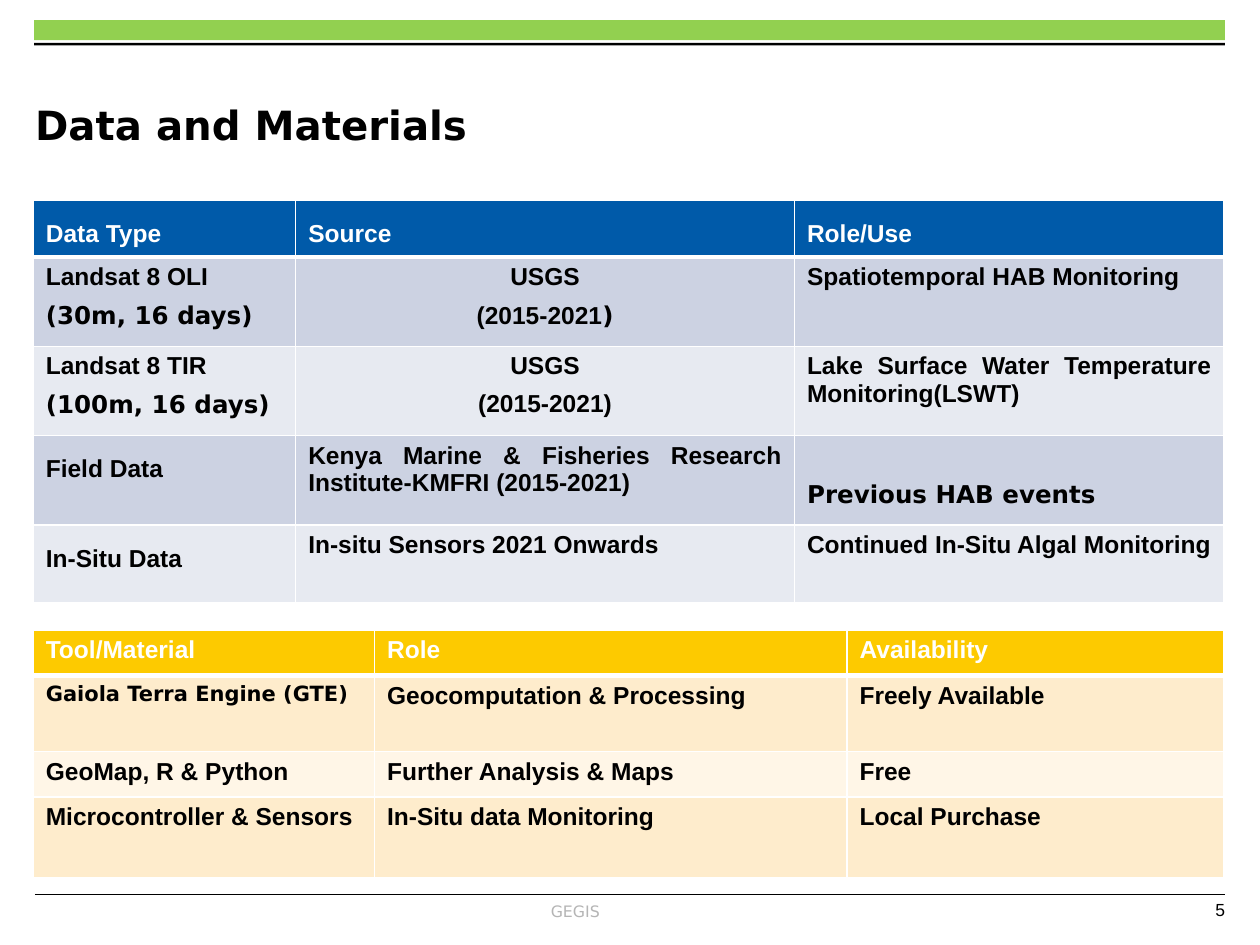
from lxml.etree import SubElement as Sub
from pptx import Presentation
from pptx.dml.color import RGBColor as Rgb
from pptx.enum.shapes import MSO_CONNECTOR as Conn, MSO_SHAPE as Kind
from pptx.enum.text import MSO_ANCHOR as Anchor, PP_ALIGN as Align
from pptx.oxml.ns import qn
from pptx.util import Pt

INK = {
    "black": "000000", "white": "FFFFFF", "gray": "B5B5B5", "green": "92D050",
    "blue": "005AA9", "blue dark": "CCD2E2", "blue pale": "E7EAF1",
    "gold": "FDCA00", "gold dark": "FEECCC", "gold pale": "FFF6E7",
}
SANS, WIDE = "Arial", "DejaVu Sans"


def hue(name):
    return Rgb.from_string(INK[name])


def add_run(par, text, face, size, ink, bold=False):
    run = par.add_run()
    run.text = text
    font = run.font
    font.name, font.size, font.bold = face, Pt(size), bold
    font.color.rgb = hue(ink)


def add_bar(slide, box, ink):
    bar = slide.shapes.add_shape(Kind.RECTANGLE, *map(Pt, box))
    bar.shadow.inherit = False
    bar.fill.solid()
    bar.fill.fore_color.rgb = hue(ink)
    bar.line.fill.background()


def add_rule(slide, left, top, width):
    rule = slide.shapes.add_connector(
        Conn.STRAIGHT, Pt(left), Pt(top), Pt(left + width), Pt(top))
    rule.line.color.rgb = hue("black")
    rule.line.width = Pt(0.6)
    Sub(rule._element.spPr, qn("a:effectLst"))


def add_label(slide, box, text, face, size, ink, align, anchor, bold=False):
    frame = slide.shapes.add_textbox(*map(Pt, box)).text_frame
    frame.word_wrap = True
    frame.vertical_anchor = anchor
    frame.margin_left = frame.margin_right = 0
    frame.margin_top = frame.margin_bottom = 0
    par = frame.paragraphs[0]
    par.alignment = align
    add_run(par, text, face, size, ink, bold)


def add_head(slide, box):
    left, top, width, height = box
    add_bar(slide, (left, top, width, 11.5), "green")
    add_bar(slide, (left, top + 13, width, 1.5), "black")
    add_rule(slide, left, top + height, width)
    add_label(slide, (left + 0.5, top + 26.5, 541.5, 66), "Data and Materials",
              WIDE, 23, "black", Align.LEFT, Anchor.MIDDLE, True)


def add_foot(slide, box):
    left, top, width, height = box
    add_rule(slide, left, top, width)
    add_label(slide, (left + 11, top + 0.7, 595.5, height), "GEGIS",
              WIDE, 9, "gray", Align.CENTER, Anchor.MIDDLE)
    add_label(slide, (left + width - 31, top + 3, 31, 17), "5",
              SANS, 10, "black", Align.RIGHT, Anchor.TOP)


def edge(cell, base):
    props = cell._tc.get_or_add_tcPr()
    for at, side in enumerate(("lnL", "lnR", "lnT", "lnB")):
        wide = base if side == "lnB" else 1
        line = Sub(props, qn("a:" + side), w=str(Pt(wide)))
        fill = Sub(line, qn("a:solidFill"))
        Sub(fill, qn("a:srgbClr"), val=INK["white"])
        props.remove(line)
        props.insert(at, line)


def para(*runs, align=Align.JUSTIFY, pitch=1.0, size=14):
    return runs, align, pitch, size


def plain(*texts, **style):
    return [para((text, SANS), **style) for text in texts]


def wide(text, **style):
    return para((text, WIDE), **style)


def add_grid(slide, box, cols, highs, rows, tone, after):
    grid = slide.shapes.add_table(len(rows), len(cols), *map(Pt, box)).table
    for col, width in zip(grid.columns, cols):
        col.width = Pt(width)
    for row, high in zip(grid.rows, highs):
        row.height = Pt(high)
    for i, row in enumerate(rows):
        fill = tone if i == 0 else tone + (" dark" if i % 2 else " pale")
        for j, pars in enumerate(row):
            cell = grid.cell(i, j)
            cell.fill.solid()
            cell.fill.fore_color.rgb = hue(fill)
            edge(cell, 1 if i else 3)
            frame = cell.text_frame
            for k, (runs, align, pitch, size) in enumerate(pars):
                par = frame.add_paragraph() if k else frame.paragraphs[0]
                par.alignment = align
                par.line_spacing = pitch
                par.space_after = Pt(after)
                for text, face in runs:
                    add_run(par, text, face, size, "black" if i else "white", True)
    return grid


def add_data(slide, box):
    mid = {"align": Align.CENTER}
    loose = {"pitch": 1.5}
    rows = [
        [plain(text, **loose) for text in ("Data Type", "Source", "Role/Use")],
        [plain("Landsat 8 OLI") + [wide("(30m, 16 days)")],
         plain("USGS", **mid) + [para(("(2015-2021", SANS), (")", WIDE), **mid)],
         plain("Spatiotemporal HAB Monitoring")],
        [plain("Landsat 8 TIR") + [wide("(100m, 16 days)")],
         plain("USGS", "(2015-2021)", **mid),
         plain("Lake Surface Water Temperature Monitoring(LSWT)")],
        [plain("Field Data", **loose),
         plain("Kenya Marine & Fisheries Research Institute-KMFRI (2015-2021)"),
         [wide("Previous HAB events")]],
        [plain("In-Situ Data", **loose),
         plain("In-situ Sensors 2021 Onwards"),
         plain("Continued In-Situ Algal Monitoring")],
    ]
    grid = add_grid(slide, box, (150, 285, 245.5), (31.5, 51, 51, 51, 44.5),
                    rows, "blue", 6)
    grid.cell(3, 2).margin_top = Pt(25.5)


def add_tools(slide, box):
    texts = [
        ("Tool/Material", "Role", "Availability"),
        (None, "Geocomputation & Processing", "Freely Available"),
        ("GeoMap, R & Python", "Further Analysis & Maps", "Free"),
        ("Microcontroller & Sensors", "In-Situ data Monitoring", "Local Purchase"),
    ]
    rows = [[plain(text) for text in row] for row in texts]
    rows[1][0] = [wide("Gaiola Terra Engine (GTE)", size=12)]
    add_grid(slide, box, (195, 270, 215.5), (26, 43.5, 26, 46), rows, "gold", 8)


def main():
    deck = Presentation()
    deck.slide_width, deck.slide_height = Pt(720), Pt(540)
    slide = deck.slides.add_slide(deck.slide_layouts[6])
    add_head(slide, (19.5, 11.5, 680.5, 103))
    add_foot(slide, (20, 511, 680, 18))
    add_tools(slide, (19, 360, 680.5, 141.5))
    add_data(slide, (19, 114.5, 680.5, 229))
    deck.save("out.pptx")


if __name__ == "__main__":
    main()
